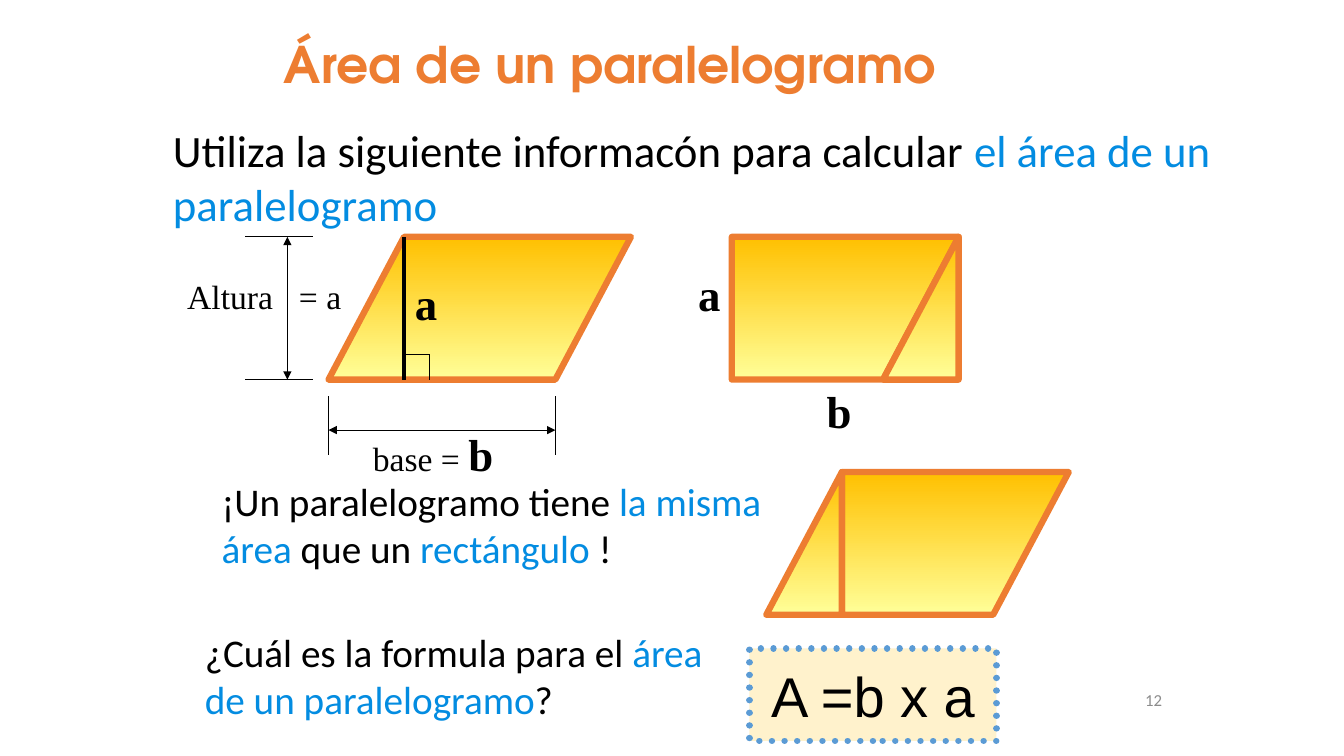
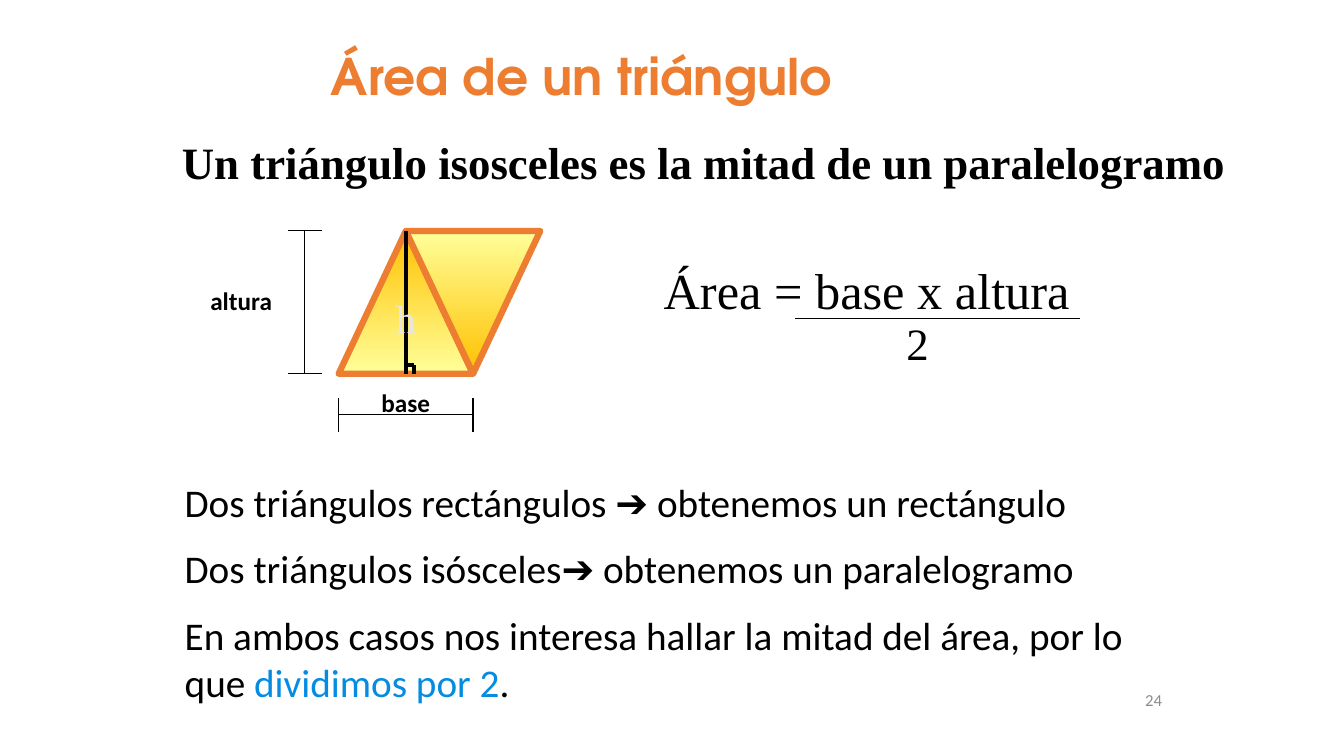
from dataclasses import dataclass

from lxml.etree import SubElement
from pptx import Presentation
from pptx.dml.color import RGBColor
from pptx.enum.dml import MSO_LINE
from pptx.enum.shapes import MSO_CONNECTOR, MSO_SHAPE
from pptx.enum.text import MSO_ANCHOR, PP_ALIGN
from pptx.oxml.ns import qn
from pptx.util import Inches, Pt


@dataclass(frozen=True)
class Style:
    font: str
    size: int
    colour: RGBColor = RGBColor(0, 0, 0)
    bold: bool = False


@dataclass(frozen=True)
class Theme:
    black = RGBColor(0, 0, 0)
    orange = RGBColor(0xED, 0x7D, 0x31)
    gold = RGBColor(0xFF, 0xC0, 0x00)
    pale_yellow = RGBColor(0xFF, 0xFF, 0x99)
    cream = RGBColor(0xFF, 0xF2, 0xCC)
    blue = RGBColor(0x5B, 0x9B, 0xD5)
    highlight = RGBColor(0x03, 0x8C, 0xE1)

    title = Style("TeX Gyre Adventor", 36, orange, True)
    intro = Style("Calibri", 32)
    body = Style("Calibri", 28)
    caption = Style("Calibri", 18, bold=True)
    number = Style("Calibri", 12, RGBColor(0x8C, 0x8C, 0x8C))
    measure = Style("Times New Roman", 24)
    letter = Style("Times New Roman", 32, bold=True)
    height = Style("Times New Roman", 28, RGBColor(0xE7, 0xE6, 0xE6))
    numerator = Style("Times New Roman", 36)
    denominator = Style("Times New Roman", 32)
    formula = Style("Arial", 40)

    thin = Pt(0.75)
    bold_line = Pt(3)
    outline = Pt(4.5)


theme = Theme()
deck = Presentation()
deck.slide_width = Inches(13.33)
deck.slide_height = Inches(7.5)
cell = deck.slide_height / 90  # the grid has 160 columns and 90 rows
LEFT, CENTER, RIGHT = PP_ALIGN.LEFT, PP_ALIGN.CENTER, PP_ALIGN.RIGHT
TOP, MIDDLE = MSO_ANCHOR.TOP, MSO_ANCHOR.MIDDLE


def write(page, place, style, *paragraphs, align=LEFT, anchor=TOP):
    """Add a text box; every second span of a paragraph is highlighted."""
    box = page.shapes.add_textbox(*(round(length * cell) for length in place))
    frame = box.text_frame
    frame.word_wrap = True
    frame.vertical_anchor = anchor
    for index, spans in enumerate(paragraphs):
        para = frame.add_paragraph() if index else frame.paragraphs[0]
        para.alignment = align
        para.space_before = Pt(style.size / 2 if index else 0)
        para.font.name, para.font.size = style.font, Pt(style.size)
        para.font.bold, para.font.color.rgb = style.bold, style.colour
        for position, text in enumerate(spans):
            span = para.add_run()
            span.text = text
            if position % 2:
                span.font.color.rgb = theme.highlight
    return box


def draw_line(page, ends, width=theme.thin, arrows=False):
    line = page.shapes.add_connector(
        MSO_CONNECTOR.STRAIGHT, *(round(length * cell) for length in ends))
    line.line.color.rgb = theme.black
    line.line.width = width
    properties = line._element.spPr
    if arrows:
        for end in ("a:headEnd", "a:tailEnd"):
            SubElement(properties.get_or_add_ln(), qn(end), type="triangle")
    SubElement(properties, qn("a:effectLst"))


parallelogram_page, triangle_page = (
    deck.slides.add_slide(deck.slide_layouts[6]) for _ in range(2))

# Shared title and page number
for page, title, number, place in (
    (parallelogram_page, "Área de un paralelogramo", "12", (19.1, 3.4, 107, 10)),
    (triangle_page, "Área de un triángulo", "24", (23.2, 4.8, 92, 11)),
):
    write(page, place, theme.title, [title], align=CENTER)
    write(page, (111.5, 80.9, 28, 4.8), theme.number, [number],
          align=RIGHT, anchor=MIDDLE)

# Figures: a base, a slant and a height fix all of them
base, slant, height = 27, 9, 17
figure_left, figure_top = 39.1, 28.2
figure_bottom = figure_top + height
rectangle_left = 87.1
rebuilt_left, rebuilt_top = 91.2, 56.2
half_base = 8
triangle_left, triangle_top = 40.3, 27.5
triangle_bottom = triangle_top + height
apex = triangle_left + half_base

figures = []
for left, top, shift in ((rebuilt_left + slant, rebuilt_top, 0),
                         (rectangle_left, figure_top, 0)):
    corners = [(left, top + height), (left, top), (left + base, top),
               (left + base - slant, top + height)]
    points = [(round(x * cell), round(y * cell)) for x, y in corners]
    builder = parallelogram_page.shapes.build_freeform(*points[0])
    builder.add_line_segments(points[1:], close=True)
    figures.append(builder.convert_to_shape())

for page, kind, left, top, width, flips in (
    (parallelogram_page, MSO_SHAPE.PARALLELOGRAM,
     figure_left, figure_top, base + slant, ()),
    (parallelogram_page, MSO_SHAPE.RIGHT_TRIANGLE,
     rebuilt_left, rebuilt_top, slant, ("flipH",)),
    (parallelogram_page, MSO_SHAPE.RIGHT_TRIANGLE,
     rectangle_left + base - slant, figure_top, slant, ("flipH",)),
    (triangle_page, MSO_SHAPE.ISOSCELES_TRIANGLE,
     triangle_left, triangle_top, 2 * half_base, ()),
    (triangle_page, MSO_SHAPE.ISOSCELES_TRIANGLE,
     apex, triangle_top, 2 * half_base, ("flipH", "flipV")),
):
    figure = page.shapes.add_shape(
        kind, *(round(length * cell) for length in (left, top, width, height)))
    if kind == MSO_SHAPE.PARALLELOGRAM:
        figure.adjustments[0] = slant / height
    for flip in flips:
        figure._element.spPr.xfrm.set(flip, "1")
    figures.append(figure)

for figure in figures:
    figure.shadow.inherit = False
    figure.fill.gradient()
    figure.fill.gradient_angle = 270
    stops = figure.fill.gradient_stops
    for stop, position, colour in zip(stops, (0, 1), (theme.gold, theme.pale_yellow)):
        stop.position = position
        stop.color.rgb = colour
    figure.line.color.rgb = theme.orange
    figure.line.width = theme.outline

# Parallelogram: height, right angle and dimension lines
foot = figure_left + slant
draw_line(parallelogram_page, (foot, figure_top, foot, figure_bottom), theme.bold_line)
draw_line(parallelogram_page, (foot, figure_bottom - 3, foot + 3, figure_bottom - 3))
draw_line(parallelogram_page, (foot + 3, figure_bottom - 3, foot + 3, figure_bottom))
draw_line(parallelogram_page, (34.2, figure_top, 34.2, figure_bottom), arrows=True)
draw_line(parallelogram_page,
          (figure_left, 51.2, figure_left + base, 51.2), arrows=True)
for y in (figure_top, figure_bottom):
    draw_line(parallelogram_page, (29.2, y, 37.2, y))
for x in (figure_left, figure_left + base):
    draw_line(parallelogram_page, (x, 47.2, x, 54.2))

# Parallelogram: text
for place, style, spans in (
    ((19.4, 14, 135.5, 14.2), theme.intro,
     ["Utiliza la siguiente informacón para calcular ",
      "el área de un paralelogramo"]),
    ((25.2, 56.2, 70, 12.5), theme.body,
     ["¡Un paralelogramo tiene ", "la misma área ", "que un ", "rectángulo ", "!"]),
    ((23.2, 74.2, 64, 12.5), theme.body,
     ["¿Cuál es la formula para el ", "área de un paralelogramo", "?"]),
    ((21.1, 32.2, 13, 6), theme.measure, ["Altura"]),
    ((34.4, 32.2, 9, 6), theme.measure, ["= a"]),
    ((48.2, 32.2, 6, 7.6), theme.letter, ["a"]),
    ((81.9, 31.2, 6, 7.6), theme.letter, ["a"]),
    ((97.2, 45.1, 9, 7.6), theme.letter, ["b"]),
):
    write(parallelogram_page, place, style, spans)

base_label = write(parallelogram_page, (43.2, 50.2, 21, 7.6), theme.measure,
                   ["base = ", "b"])
base_letter = base_label.text_frame.paragraphs[0].runs[1].font
base_letter.size, base_letter.bold = Pt(theme.letter.size), True
base_letter.color.rgb = theme.black

formula = write(parallelogram_page, (89.2, 77.2, 29.4, 11), theme.formula,
                ["A =b x a"], align=CENTER, anchor=MIDDLE)
formula.fill.solid()
formula.fill.fore_color.rgb = theme.cream
formula.line.color.rgb = theme.blue
formula.line.width = theme.outline
formula.line.dash_style = MSO_LINE.ROUND_DOT
formula._element.spPr.get_or_add_ln().set("cap", "rnd")

# Triangle: height, right angle, dimension lines and fraction bar
triangle_right = triangle_left + 2 * half_base
for ends in ((apex, triangle_top, apex, triangle_bottom),
             (apex, triangle_bottom - 1, apex + 1, triangle_bottom - 1),
             (apex + 1, triangle_bottom - 1, apex + 1, triangle_bottom)):
    draw_line(triangle_page, ends, theme.bold_line)
draw_line(triangle_page, (36.3, triangle_top, 36.3, triangle_bottom))
draw_line(triangle_page, (triangle_left, 49.4, triangle_right, 49.4))
for y in (triangle_top, triangle_bottom):
    draw_line(triangle_page, (34.3, y, 38.3, y))
for x in (triangle_left, triangle_right):
    draw_line(triangle_page, (x, 47.4, x, 51.4))
draw_line(triangle_page, (94.6, 37.9, 128.5, 37.9))

# Triangle: text
for left, top, style, label in ((triangle_left, 45.5, theme.caption, "base"),
                                (20.7, 33.4, theme.caption, "altura"),
                                (triangle_left, 34.4, theme.height, "h")):
    rows = 6.8 if style is theme.height else 4.8
    write(triangle_page, (left, top, 2 * half_base, rows), style, [label],
          align=CENTER, anchor=MIDDLE)
write(triangle_page, (17.3, 15.5, 133, 7.6), theme.letter,
      ["Un triángulo isosceles es la mitad de un paralelogramo"], align=CENTER)
write(triangle_page, (77.8, 30.2, 59.5, 8.5), theme.numerator, ["Área = base x altura"])
write(triangle_page, (106.7, 37, 12, 7.6), theme.denominator, ["2"])
write(triangle_page, (20.8, 56.3, 118, 29), theme.body,
      ["Dos triángulos rectángulos ➔ obtenemos un rectángulo"],
      ["Dos triángulos isósceles➔ obtenemos un paralelogramo"],
      ["En ambos casos nos interesa hallar la mitad del área, por lo que ",
       "dividimos por 2", "."])

deck.save("out.pptx")
